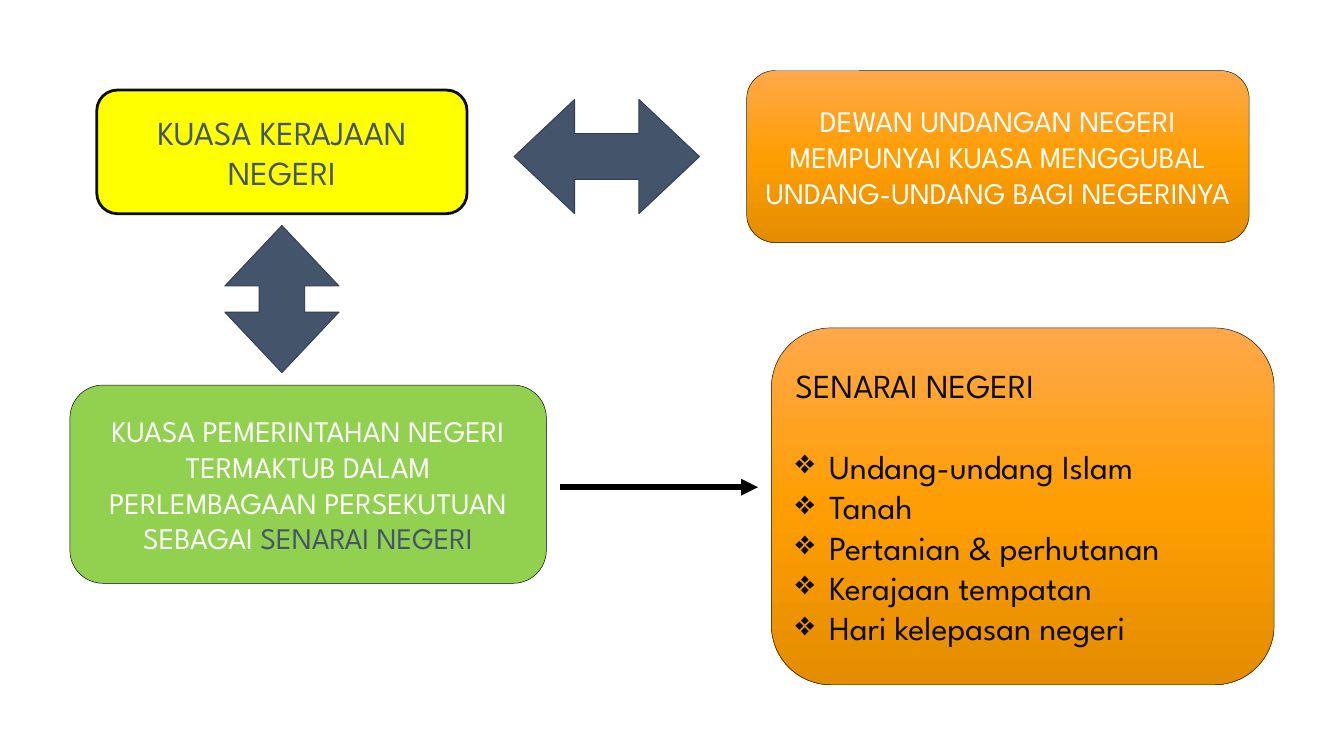
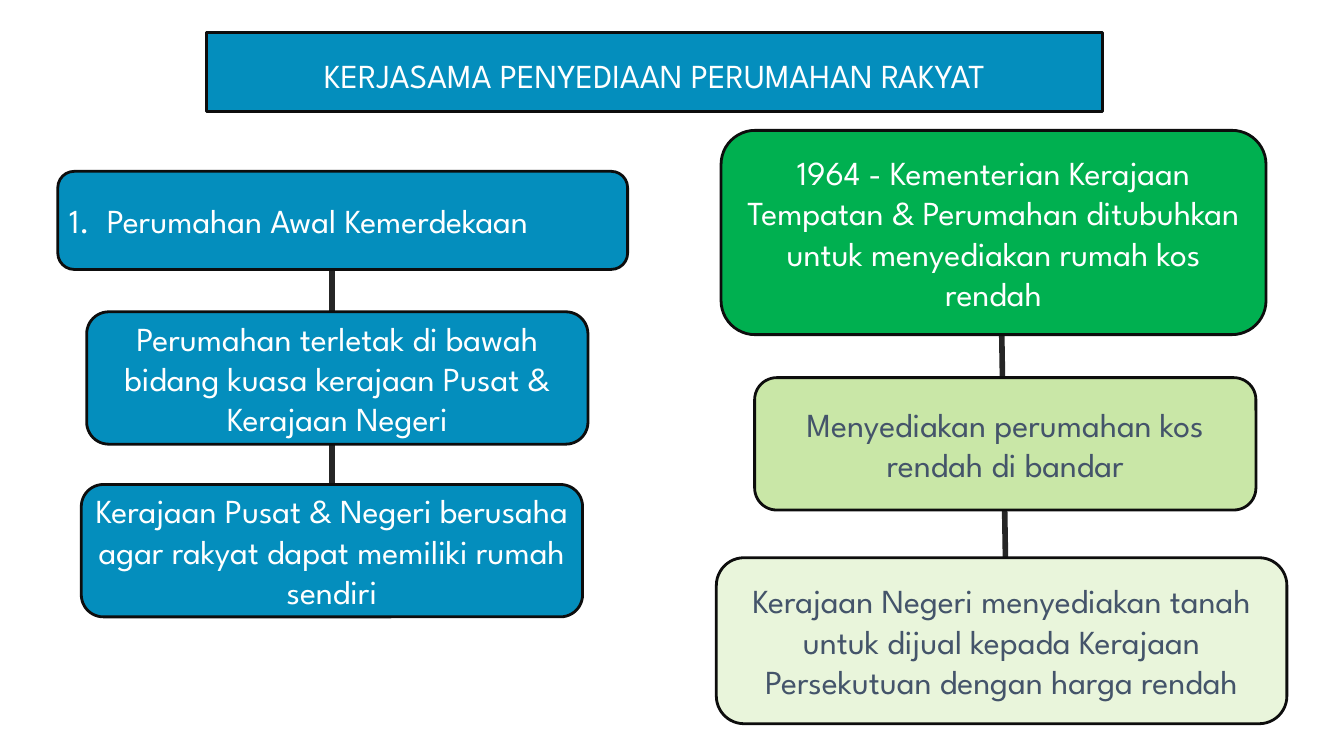
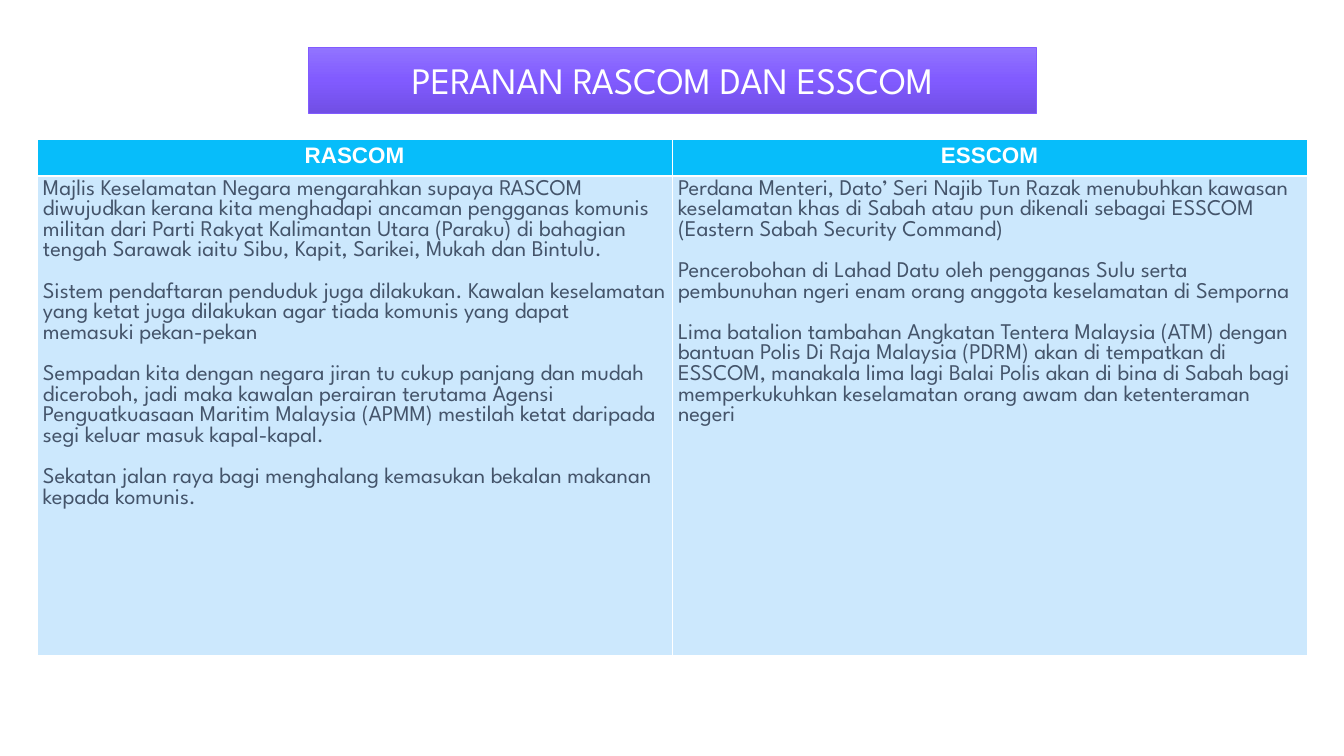
from copy import deepcopy

from lxml import etree
from pptx import Presentation
from pptx.dml.color import RGBColor
from pptx.enum.shapes import MSO_CONNECTOR as CONN, MSO_SHAPE as SHAPE
from pptx.enum.text import MSO_ANCHOR as ANCHOR, MSO_AUTO_SIZE as AUTO, PP_ALIGN as ALIGN
from pptx.oxml import parse_xml
from pptx.oxml.ns import nsdecls, qn
from pptx.util import Pt

# Shared style: 100 px to the inch
PX = 9144
FONT = "League Spartan"
rgb = RGBColor.from_string
WHITE, INK, SLATE, BLUE = "FFFFFF", "0D0D0D", "44546A", "048EBD"
ORANGE = ("FFA84B", "FF9E02", "E48D00")
PURPLE = ("9274FF", "815BFF", "714FE5")
THIN, THICK = ("181717", 0.5), (INK, 3)

prs = Presentation()
prs.slide_width, prs.slide_height = 2000 * PX, 1125 * PX
TITLE_ONLY, BLANK = prs.slide_layouts[5], prs.slide_layouts[6]


def box(s, at, fill, line, lines=(), color=WHITE, size=36, align=ALIGN.CENTER,
        shape=SHAPE.ROUNDED_RECTANGLE, title=False):
    """Add a filled shape with text, or turn the slide title into one."""
    at = [v * PX for v in at]
    if title:
        sp = s.shapes.title
        sp.left, sp.top, sp.width, sp.height = at
        sp._element.spPr.insert(1, parse_xml(
            f'<a:prstGeom {nsdecls("a")} prst="roundRect"><a:avLst/></a:prstGeom>'))
    else:
        sp = s.shapes.add_shape(shape, *at)
        sp.shadow.inherit = False
    if isinstance(fill, str):
        sp.fill.solid()
        sp.fill.fore_color.rgb = rgb(fill)
    else:
        sp.fill.gradient()
        sp.fill.gradient_angle = 270
        stops = sp._element.spPr.find(".//" + qn("a:gsLst"))
        stops.append(deepcopy(stops[0]))
        for i, stop in enumerate(sp.fill.gradient_stops):
            stop.position = i / 2
            stop.color.rgb = rgb(fill[i])
    sp.line.color.rgb, sp.line.width = rgb(line[0]), Pt(line[1])
    tf = sp.text_frame
    tf.word_wrap, tf.auto_size, tf.vertical_anchor = True, AUTO.NONE, ANCHOR.MIDDLE
    for i, text in enumerate(lines):
        p = tf.paragraphs[0] if i == 0 else tf.add_paragraph()
        p.text, p.alignment = text, align
        p.font.name, p.font.size, p.font.color.rgb = FONT, Pt(size), rgb(color)
    return sp


def connect(s, x1, y1, x2, y2, color):
    """Add a thick straight line."""
    c = s.shapes.add_connector(CONN.STRAIGHT, x1 * PX, y1 * PX, x2 * PX, y2 * PX)
    c.line.color.rgb, c.line.width = rgb(color), Pt(6)
    etree.SubElement(c._element.spPr, qn("a:effectLst"))
    return c


# Slide 1: powers of the state government
s = prs.slides.add_slide(BLANK)
box(s, (144, 134, 551, 184), "FFFF00", THICK, ["KUASA KERAJAAN NEGERI"], SLATE)
box(s, (1111, 105, 748, 256), ORANGE, THIN,
    ["DEWAN UNDANGAN NEGERI MEMPUNYAI KUASA MENGGUBAL UNDANG-UNDANG BAGI NEGERINYA"],
    size=32)
for at, turn in (((765, 148, 276, 170), 0), ((310, 360, 219, 170), 90)):
    sp = box(s, at, SLATE, ("323E4E", 1), shape=SHAPE.LEFT_RIGHT_ARROW)
    sp.adjustments[0], sp.adjustments[1] = 0.4, 0.53
    sp.rotation = turn

sp = box(s, (104, 573, 709, 295), "92D050", ("000000", 0.5),
         ["KUASA PEMERINTAHAN NEGERI TERMAKTUB DALAM PERLEMBAGAAN PERSEKUTUAN SEBAGAI "],
         size=32)
r = sp.text_frame.paragraphs[0].add_run()
r.text = "SENARAI NEGERI"
r.font.color.rgb = rgb(SLATE)

# State list with diamond bullets
sp = box(s, (1148, 488, 748, 531), ORANGE, THIN,
         ["SENARAI NEGERI", "Undang-undang Islam", "Tanah", "Pertanian & perhutanan",
          "Kerajaan tempatan", "Hari kelepasan negeri"], INK, align=ALIGN.LEFT)
items = sp.text_frame.paragraphs[1:]
items[0].space_before = Pt(43)
for p in items:
    pPr = p._p.get_or_add_pPr()
    pPr.set("marL", str(50 * PX))
    pPr.set("indent", str(-50 * PX))
    pPr.find(qn("a:defRPr")).addprevious(
        parse_xml(f'<a:buChar {nsdecls("a")} char="❖"/>'))

c = connect(s, 833, 725, 1128, 725, "000000")
c.line._get_or_add_ln().append(parse_xml(f'<a:tailEnd {nsdecls("a")} type="triangle"/>'))

# Slide 2: cooperation on public housing
s = prs.slides.add_slide(TITLE_ONLY)
connect(s, 1489, 394, 1497, 876, "262626")
connect(s, 494, 267, 494, 776, "262626")
sp = box(s, (307, 48, 1334, 118), BLUE, THICK,
         ["KERJASAMA PENYEDIAAN PERUMAHAN RAKYAT"], title=True)
sp.text_frame.margin_top = 14 * PX

for at, fill, color, text in (
    ((121, 721, 746, 197), BLUE, WHITE,
     "Kerajaan Pusat & Negeri berusaha agar rakyat dapat memiliki rumah sendiri"),
    ((129, 464, 746, 197), BLUE, WHITE,
     "Perumahan terletak di bawah bidang kuasa kerajaan Pusat & Kerajaan Negeri"),
    ((1073, 194, 811, 304), "00B050", WHITE,
     "1964 - Kementerian Kerajaan Tempatan & Perumahan ditubuhkan untuk menyediakan "
     "rumah kos rendah"),
    ((1123, 562, 746, 197), "C9E7A7", SLATE,
     "Menyediakan perumahan kos rendah di bandar"),
    ((1066, 830, 849, 247), "E9F5DB", SLATE,
     "Kerajaan Negeri menyediakan tanah untuk dijual kepada Kerajaan Persekutuan "
     "dengan harga rendah"),
):
    box(s, at, fill, THICK, [text], color)

# Numbered heading of the left column
sp = box(s, (86, 255, 848, 146), BLUE, THICK, ["Perumahan Awal Kemerdekaan"],
         align=ALIGN.LEFT)
pPr = sp.text_frame.paragraphs[0]._p.get_or_add_pPr()
pPr.set("marL", str(56 * PX))
pPr.set("indent", str(-56 * PX))
pPr.find(qn("a:defRPr")).addprevious(
    parse_xml(f'<a:buAutoNum {nsdecls("a")} type="arabicPeriod"/>'))

# Slide 3: comparison table
s = prs.slides.add_slide(TITLE_ONLY)
box(s, (459, 70, 1083, 98), PURPLE, ("815BFF", 0.5), ["PERANAN RASCOM DAN ESSCOM"],
    size=40, title=True)

columns = {
    "RASCOM": [
        "Majlis Keselamatan Negara mengarahkan supaya RASCOM diwujudkan kerana kita "
        "menghadapi ancaman pengganas komunis militan dari Parti Rakyat Kalimantan Utara "
        "(Paraku) di bahagian tengah Sarawak iaitu Sibu, Kapit, Sarikei, Mukah dan Bintulu.",
        "Sistem pendaftaran penduduk juga dilakukan. Kawalan keselamatan yang ketat juga "
        "dilakukan agar tiada komunis yang dapat memasuki pekan-pekan",
        "Sempadan kita dengan negara jiran tu cukup panjang dan mudah diceroboh, jadi maka "
        "kawalan perairan terutama Agensi Penguatkuasaan Maritim Malaysia (APMM) mestilah "
        "ketat daripada segi keluar masuk kapal-kapal.",
        "Sekatan jalan raya bagi menghalang kemasukan bekalan makanan kepada komunis.",
    ],
    "ESSCOM": [
        "Perdana Menteri, Dato’ Seri Najib Tun Razak menubuhkan kawasan keselamatan khas di "
        "Sabah atau pun dikenali sebagai ESSCOM (Eastern Sabah Security Command)",
        "Pencerobohan di Lahad Datu oleh pengganas Sulu serta pembunuhan ngeri enam orang "
        "anggota keselamatan di Semporna",
        "Lima batalion tambahan Angkatan Tentera Malaysia (ATM) dengan bantuan Polis Di Raja "
        "Malaysia (PDRM) akan di tempatkan di ESSCOM, manakala lima lagi Balai Polis akan di "
        "bina di Sabah bagi memperkukuhkan keselamatan orang awam dan ketenteraman negeri",
    ],
}
table = s.shapes.add_table(2, 2, 55 * PX, 208 * PX, 1890 * PX, 767 * PX).table
table.rows[0].height, table.rows[1].height = 54 * PX, 713 * PX

for col, (heading, body) in enumerate(columns.items()):
    for row, texts in enumerate(([heading], body)):
        cell = table.cell(row, col)
        cell.margin_left = cell.margin_right = 9 * PX
        cell.fill.solid()
        cell.fill.fore_color.rgb = rgb(("07BDFA", "CCE8FD")[row])
        # White borders, thicker between heading and body
        for i, side in enumerate("LRTB"):
            width = Pt(3 if (row, side) in ((0, "B"), (1, "T")) else 1)
            cell._tc.get_or_add_tcPr().insert(i, parse_xml(
                f'<a:ln{side} {nsdecls("a")} w="{width}"><a:solidFill>'
                f'<a:srgbClr val="{WHITE}"/></a:solidFill></a:ln{side}>'))
        tf = cell.text_frame
        for i, text in enumerate(texts):
            p = tf.paragraphs[0] if i == 0 else tf.add_paragraph()
            p.text = text
            p.alignment = (ALIGN.CENTER, ALIGN.LEFT)[row]
            if i:
                p.space_before = Pt(22)
            p.font.name, p.font.size = ("Arial", FONT)[row], Pt(24)
            p.font.bold, p.font.color.rgb = row == 0, rgb((WHITE, SLATE)[row])

prs.save("out.pptx")
